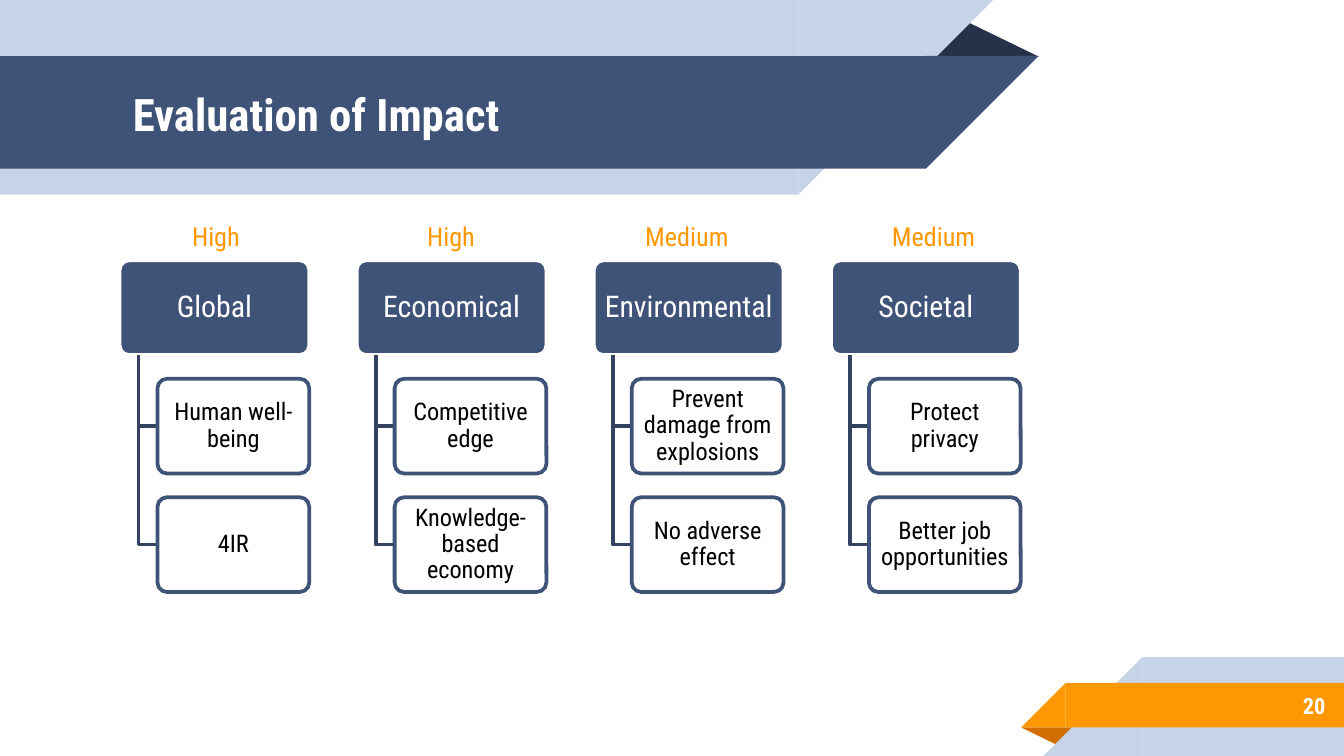
from lxml import etree
from pptx import Presentation
from pptx.dml.color import RGBColor
from pptx.enum.shapes import MSO_SHAPE
from pptx.enum.text import MSO_ANCHOR, PP_ALIGN
from pptx.oxml.ns import qn
from pptx.util import Cm, Pt

RECTANGLE = MSO_SHAPE.RECTANGLE
ROUNDED = MSO_SHAPE.ROUNDED_RECTANGLE
TRIANGLE = MSO_SHAPE.ISOSCELES_TRIANGLE
RIGHT_TRIANGLE = MSO_SHAPE.RIGHT_TRIANGLE
TOP, MIDDLE = MSO_ANCHOR.TOP, MSO_ANCHOR.MIDDLE
LEFT, CENTER, RIGHT = PP_ALIGN.LEFT, PP_ALIGN.CENTER, PP_ALIGN.RIGHT

WHITE = RGBColor(0xFF, 0xFF, 0xFF)
BLACK = RGBColor(0x00, 0x00, 0x00)
NAVY = RGBColor(0x3F, 0x53, 0x78)
DARK_NAVY = RGBColor(0x26, 0x32, 0x48)
BRANCH_NAVY = RGBColor(0x32, 0x42, 0x60)
PALE_BLUE = RGBColor(0xC7, 0xD3, 0xE6)
ORANGE = RGBColor(0xFF, 0x98, 0x00)
DARK_ORANGE = RGBColor(0xD2, 0x6F, 0x00)

FONT = "Roboto Condensed"
SLIDE_WIDTH, SLIDE_HEIGHT = 25.4, 14.29

IMPACTS = [
    ("Global", "High", 1.12, ["Human well-being", "4IR"]),
    ("Economical", "High", 1.08, ["Competitive edge", "Knowledge-based economy"]),
    ("Environmental", "Medium", 0.72,
     ["Prevent damage from explosions", "No adverse effect"]),
    ("Societal", "Medium", 0.9, ["Protect privacy", "Better job opportunities"]),
]


def write_text(shape, text, *, size, color, bold=False, align=LEFT, anchor=MIDDLE,
               inset=(0.25, 0.25), line_spacing=None):
    frame = shape.text_frame
    frame.word_wrap = True
    frame.vertical_anchor = anchor
    frame.margin_left = frame.margin_right = Cm(inset[0])
    frame.margin_top = frame.margin_bottom = Cm(inset[1])
    paragraph = frame.paragraphs[0]
    paragraph.text = text
    paragraph.alignment = align
    paragraph.line_spacing = line_spacing
    paragraph.font.name = FONT
    paragraph.font.size = Pt(size)
    paragraph.font.bold = bold
    paragraph.font.color.rgb = color


def add_text(slide, box, text, **text_format):
    shape = slide.shapes.add_textbox(*map(Cm, box))
    write_text(shape, text, **text_format)


def add_block(slide, kind, box, fill, line=None):
    shape = slide.shapes.add_shape(kind, *map(Cm, box))
    shape.shadow.inherit = False
    shape.fill.solid()
    shape.fill.fore_color.rgb = fill
    if line is None:
        shape.line.fill.background()
    else:
        shape.line.color.rgb = line
        shape.line.width = Pt(2)
    return shape


def add_fold(slide, box, color, rotation=0):
    fold = add_block(slide, TRIANGLE, box, color)
    fold.adjustments[0] = 0.324
    fold.rotation = rotation


def add_ribbon(slide, box, color, flip):
    left, top, width, height = box
    if flip == "flipV":
        bar_left, tip_left = left, left + width - height
    else:
        bar_left, tip_left = left + height, left
    add_block(slide, RECTANGLE, (bar_left, top, width - height, height), color)
    tip = add_block(slide, RIGHT_TRIANGLE, (tip_left, top, height, height), color)
    tip._element.spPr.find(qn("a:xfrm")).set(flip, "1")


def add_header(slide, box, title):
    left, top, width, height = box
    add_fold(slide, (left + width - 2.16, 0.36, 2.16, 0.71), DARK_NAVY)
    add_ribbon(slide, (left, 0, width - 0.86, 3.68), PALE_BLUE, "flipV")
    add_ribbon(slide, box, NAVY, "flipV")
    add_text(slide, (left + 2.26, top + 0.03, 15.27, height), title,
             size=24, color=WHITE, bold=True)


def add_footer(slide, box, number):
    left, top, width, height = box
    pale_top = top - 0.49
    add_fold(slide, (left, top + height, 1.09, 0.36), DARK_ORANGE, 180)
    add_ribbon(slide, (left + 0.42, pale_top, width - 0.42, SLIDE_HEIGHT - pale_top),
               PALE_BLUE, "flipH")
    add_ribbon(slide, box, ORANGE, "flipH")
    add_text(slide, (left + 1.86, top, 4.14, height), number,
             size=12, color=WHITE, bold=True, align=RIGHT)


def add_branch(slide, left, top, width, height):
    builder = slide.shapes.build_freeform(Cm(left), Cm(top))
    builder.add_line_segments(
        [(Cm(left), Cm(top + height)), (Cm(left + width), Cm(top + height))],
        close=False)
    branch = builder.convert_to_shape()
    branch.shadow.inherit = False
    branch.fill.background()
    branch.line.color.rgb = BRANCH_NAVY
    branch.line.width = Pt(2)


def add_card(slide, box, text, fill, line, **text_format):
    card = add_block(slide, ROUNDED, box, fill, line)
    card.adjustments[0] = 0.1
    write_text(card, text, align=CENTER, inset=(0.07, 0.05), line_spacing=0.9,
               **text_format)
    return card


def add_impact_column(slide, box, impact):
    left, top, width, card_height = box
    heading, rating, rating_offset, effects = impact
    indent = width / 5
    add_card(slide, box, heading, NAVY, WHITE, size=16, color=WHITE)
    for row, effect in enumerate(effects):
        card_top = top + (row + 1) * card_height * 1.25
        add_branch(slide, left + indent / 2, top + card_height, indent / 2,
                   card_top - top - card_height / 2)
        card = add_card(slide, (left + indent, card_top, width - indent, card_height),
                        effect, WHITE, NAVY, size=13, color=BLACK)
        fill_color = card._element.spPr.find(qn("a:solidFill"))[0]
        etree.SubElement(fill_color, qn("a:alpha")).set("val", "90000")
    rating_width = 1.6 if rating == "High" else 2.41
    add_text(slide, (left + rating_offset, top - 0.88, rating_width, 0.86), rating,
             size=14, color=ORANGE, anchor=TOP, inset=(0.25, 0.13))


def add_impact_tree(slide, box):
    left, top, width, height = box
    column_width = width / (len(IMPACTS) * 1.25 - 0.25)
    card_height = height / 3.5
    for index, impact in enumerate(IMPACTS):
        column_left = left + index * column_width * 1.25
        add_impact_column(slide, (column_left, top, column_width, card_height), impact)


def main():
    presentation = Presentation()
    presentation.slide_width = Cm(SLIDE_WIDTH)
    presentation.slide_height = Cm(SLIDE_HEIGHT)
    slide = presentation.slides.add_slide(presentation.slide_layouts[6])
    add_footer(slide, (19.3, 12.91, SLIDE_WIDTH - 19.3, 0.84), "20")
    add_header(slide, (0, 1.06, 19.63, 2.13), "Evaluation of Impact")
    add_impact_tree(slide, (2.26, 4.92, 17.03, 6.27))
    presentation.save("out.pptx")


if __name__ == "__main__":
    main()
